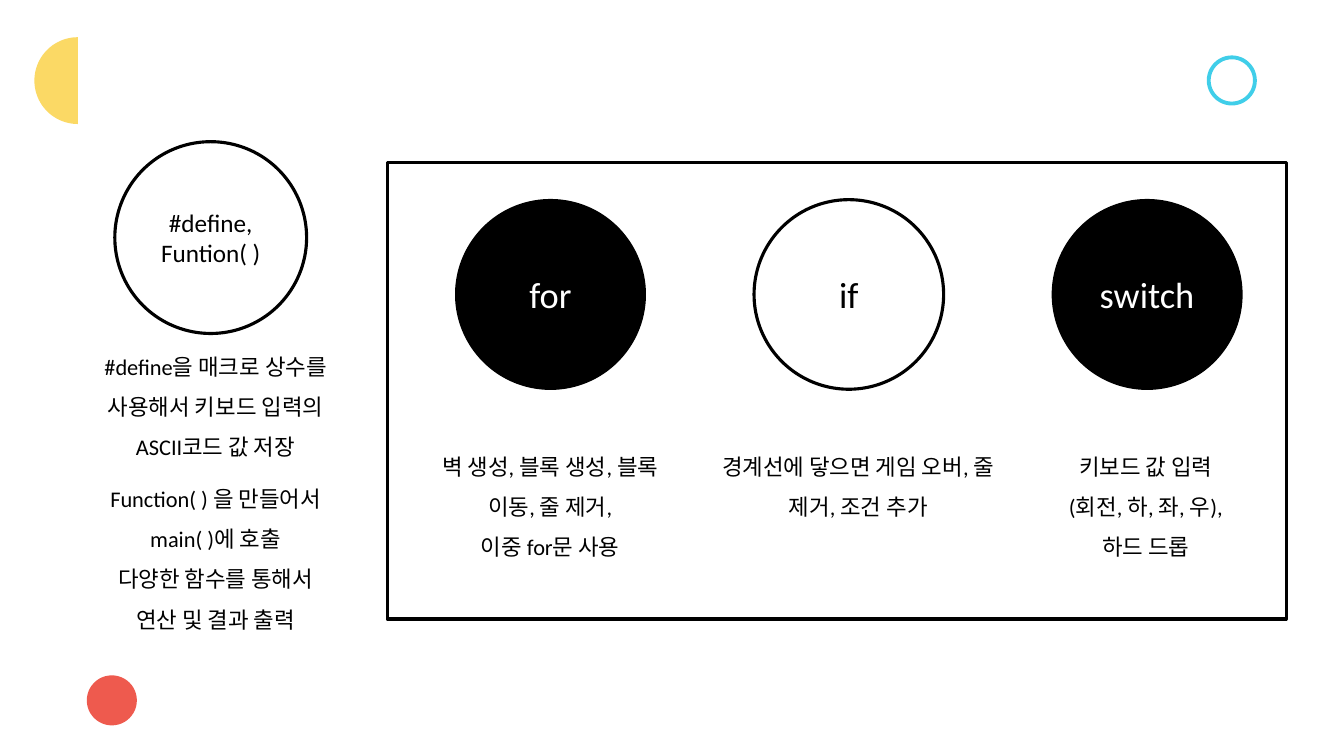
from dataclasses import dataclass
from math import cos, pi, sin

from pptx import Presentation
from pptx.dml.color import RGBColor
from pptx.enum.shapes import MSO_SHAPE as Shape
from pptx.enum.text import MSO_ANCHOR as Anchor, MSO_AUTO_SIZE as AutoSize, PP_ALIGN as Align
from pptx.util import Pt

# Content: circle label, filled or not
DEFINE_LABEL = ["#define,", "Funtion( )"]
DEFINE_NOTES = [
    # top, height, paragraphs
    (239, 94, ["#define을 매크로 상수를 사용해서 키보드 입력의 ASCII코드 값 저장"]),
    (333.2, 124, ["Function( ) 을 만들어서 main( )에 호출",
                  "다양한 함수를 통해서\v연산 및 결과 출력"]),
]
STATEMENTS = [
    # label, filled, note left, note width, note height, note paragraphs
    ("for", True, 293, 200, 94,
     ["벽 생성, 블록 생성, 블록 이동, 줄 제거,", "이중 for문 사용"]),
    ("if", False, 507.5, 211, 65.5,
     ["경계선에 닿으면 게임 오버, 줄 제거, 조건 추가"]),
    ("switch", True, 718.5, 200, 94,
     ["키보드 값 입력\v(회전, 하, 좌, 우),\v하드 드롭"]),
]


@dataclass(frozen=True)
class Theme:
    font: str = "Calibri"
    black: str = "000000"
    white: str = "FFFFFF"
    yellow: str = "FBD965"
    red: str = "EE5A4E"
    blue: str = "40CEE9"
    note_size: float = 16
    define_size: float = 18
    statement_size: float = 26


THEME = Theme()

# Layout in points
STATEMENT_LEFT, STATEMENT_STEP = 325.5, 213.1
STATEMENT_TOP, STATEMENT_SIZE = 142.6, 135.4
NOTE_TOP = 310.3
ARC_STEPS = 60


def paint(shape, fill, line, weight=0):
    shape.shadow.inherit = False
    for part, color in ((shape.fill, fill), (shape.line.fill, line)):
        if color:
            part.solid()
            part.fore_color.rgb = RGBColor.from_string(color)
        else:
            part.background()
    if line:
        shape.line.width = Pt(weight)


def add_outline(kind, left, top, width, height, fill, line, weight):
    shape = slide.shapes.add_shape(kind, Pt(left), Pt(top), Pt(width), Pt(height))
    paint(shape, fill, line, weight)
    return shape


def write(frame, lines, size, color, spacing=None):
    frame.word_wrap = True
    for index, line in enumerate(lines):
        para = frame.paragraphs[0] if index == 0 else frame.add_paragraph()
        para.text = line
        para.alignment = Align.CENTER
        if spacing:
            para.line_spacing = spacing
        para.font.name = THEME.font
        para.font.size = Pt(size)
        para.font.color.rgb = RGBColor.from_string(color)


def add_label_circle(left, top, size, lines, text_size, filled):
    circle = add_outline(Shape.OVAL, left, top, size, size,
                         THEME.black if filled else None, THEME.black, 1 if filled else 2.25)
    frame = circle.text_frame
    frame.margin_left = frame.margin_right = frame.margin_top = frame.margin_bottom = 0
    frame.vertical_anchor = Anchor.MIDDLE
    write(frame, lines, text_size, THEME.white if filled else THEME.black)


def add_note(left, top, width, height, lines):
    box = slide.shapes.add_textbox(Pt(left), Pt(top), Pt(width), Pt(height))
    write(box.text_frame, lines, THEME.note_size, THEME.black, spacing=1.5)
    box.text_frame.auto_size = AutoSize.SHAPE_TO_FIT_TEXT


def add_half_disc(center_x, center_y, radius, fill):
    angles = [pi / 2 + pi * step / ARC_STEPS for step in range(ARC_STEPS + 1)]
    points = [(Pt(center_x + radius * cos(a)), Pt(center_y + radius * sin(a))) for a in angles]
    builder = slide.shapes.build_freeform(*points[0])
    builder.add_line_segments(points[1:], close=True)
    paint(builder.convert_to_shape(), fill, None)


deck = Presentation()
deck.slide_width, deck.slide_height = Pt(960), Pt(540)
slide = deck.slides.add_slide(deck.slide_layouts[6])

# Decorations
add_half_disc(55.6, 57.6, 31, THEME.yellow)
add_outline(Shape.OVAL, 63.4, 483.8, 33, 33, THEME.red, THEME.red, 2.75)
add_outline(Shape.OVAL, 863.4, 41, 33, 33, None, THEME.blue, 2.75)

# Macro and function column
add_label_circle(82, 101.2, 137, DEFINE_LABEL, THEME.define_size, False)
for top, height, lines in DEFINE_NOTES:
    add_note(54, top, 200, height, lines)

# Framed statements
add_outline(Shape.RECTANGLE, 276.5, 116, 642.2, 326.2, None, THEME.black, 2.25)
for index, (label, filled, left, width, height, lines) in enumerate(STATEMENTS):
    add_label_circle(STATEMENT_LEFT + index * STATEMENT_STEP, STATEMENT_TOP, STATEMENT_SIZE,
                     [label], THEME.statement_size, filled)
    add_note(left, NOTE_TOP, width, height, lines)

deck.save("out.pptx")
